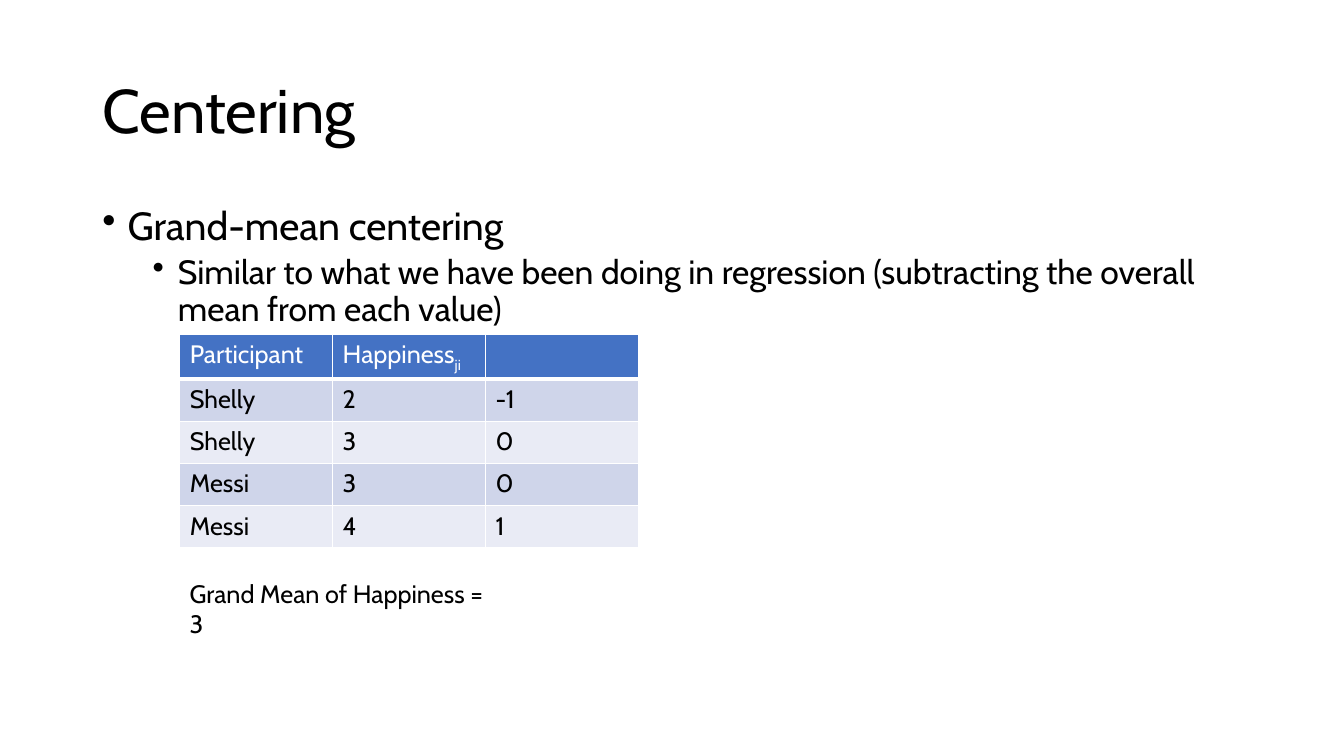
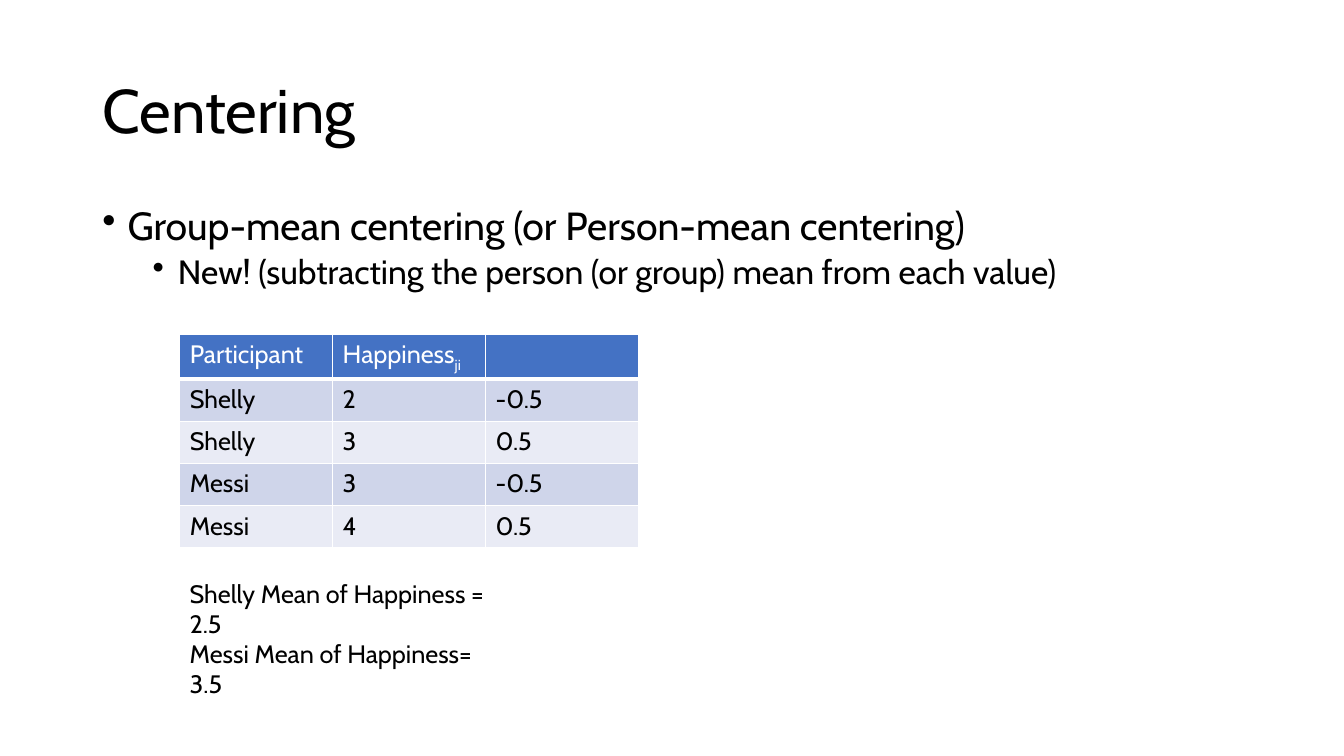
from dataclasses import dataclass
from typing import Any

from lxml import etree
from pptx import Presentation
from pptx import util as u
from pptx.dml.color import RGBColor
from pptx.enum import text
from pptx.oxml.ns import qn

# Shared look: the slide is a grid of 160 columns by 90 rows
COLUMNS, ROWS = 160, 90
WIDTH, HEIGHT = u.Inches(13.33), u.Inches(7.5)
FONT = "Cabin"
BLACK, WHITE = "000000", "FFFFFF"
HEADER_FILL, BAND_FILLS = "4472C4", ("CFD5EA", "E9EBF5")
TITLE = "Centering"
SUBSCRIPT = "ji"
TABLE_COLUMN, TABLE_ROW = 18.2, 5.04


@dataclass(frozen=True)
class Area:
    column: float
    row: float
    columns: float
    rows: float

    def lengths(self) -> dict[str, int]:
        return {
            "left": round(WIDTH * self.column / COLUMNS),
            "top": round(HEIGHT * self.row / ROWS),
            "width": round(WIDTH * self.columns / COLUMNS),
            "height": round(HEIGHT * self.rows / ROWS),
        }


@dataclass(frozen=True)
class Bullet:
    size: int
    margin: float
    before: int


@dataclass(frozen=True)
class Example:
    method: str
    explanation: str
    centered: tuple[str, ...]
    means: tuple[str, ...]


TITLE_AREA = Area(11, 4.8, 138, 17.4)
POINTS_AREA = Area(11, 24, 138, 57.1)
TABLE_AREA = Area(21.4, 39.8, 3 * TABLE_COLUMN, 5 * TABLE_ROW)
MEANS_AREA = Area(21.4, 68.2, 38.9, 4.8)
LEVELS = (Bullet(28, 0.25, 0), Bullet(24, 0.75, 5))
RATINGS = (("Shelly", "2"), ("Shelly", "3"), ("Messi", "3"), ("Messi", "4"))

EXAMPLES = (
    Example(
        "Grand-mean centering",
        "Similar to what we have been doing in regression "
        "(subtracting the overall mean from each value)",
        ("-1", "0", "0", "1"),
        ("Grand Mean of Happiness = 3",),
    ),
    Example(
        "Group-mean centering (or Person-mean centering)",
        "New! (subtracting the person (or group) mean from each value)",
        ("-0.5", "0.5", "-0.5", "0.5"),
        ("Shelly Mean of Happiness = 2.5", "Messi Mean of Happiness= 3.5"),
    ),
)


def color(value: str) -> RGBColor:
    return RGBColor.from_string(value)


def apply(target: Any, values: dict[str, Any]) -> None:
    for name, value in values.items():
        setattr(target, name, value)


def write(paragraph: Any, words: str, size: int, ink: str = BLACK) -> Any:
    """Add one run in the shared font."""
    run = paragraph.add_run()
    run.text = words
    apply(run.font, {"name": FONT, "size": u.Pt(size), "bold": False})
    run.font.color.rgb = color(ink)
    return run


def add_title(slide: Any) -> None:
    title = slide.shapes.title
    apply(title, TITLE_AREA.lengths())
    apply(title.text_frame, {
        "word_wrap": True,
        "auto_size": text.MSO_AUTO_SIZE.NONE,
        "vertical_anchor": text.MSO_ANCHOR.MIDDLE,
    })
    heading = title.text_frame.paragraphs[0]
    apply(heading, {"alignment": text.PP_ALIGN.LEFT, "line_spacing": 0.9})
    write(heading, TITLE, 44)


def add_lines(slide: Any, area: Area, lines: tuple[str, ...],
              levels: tuple[Bullet, ...] = ()) -> None:
    """Add a text box, with one bullet level per line if levels are given."""
    frame = slide.shapes.add_textbox(**area.lengths()).text_frame
    frame.word_wrap = True
    for index, line in enumerate(lines):
        paragraph = frame.paragraphs[0] if index == 0 else frame.add_paragraph()
        size = 18
        if levels:
            level = levels[index]
            size = level.size
            properties = paragraph._p.get_or_add_pPr()
            properties.set("marL", str(u.Inches(level.margin)))
            properties.set("indent", str(u.Inches(-0.25)))
            etree.SubElement(properties, qn("a:buChar"), char="•")
            apply(paragraph, {"level": index, "line_spacing": 0.9,
                              "space_before": u.Pt(level.before)})
        write(paragraph, line, size)


def format_cell(cell: Any, fill: str, borders: dict[str, int]) -> None:
    properties = cell._tc.get_or_add_tcPr()
    for side, points in borders.items():
        line = etree.SubElement(properties, qn(f"a:ln{side}"), w=str(u.Pt(points)))
        solid = etree.SubElement(line, qn("a:solidFill"))
        etree.SubElement(solid, qn("a:srgbClr"), val=WHITE)
    cell.fill.solid()
    cell.fill.fore_color.rgb = color(fill)


def add_ratings(slide: Any, centered: tuple[str, ...]) -> None:
    records = [("Participant", "Happiness", "")]
    records += [(*rating, value) for rating, value in zip(RATINGS, centered)]
    table = slide.shapes.add_table(len(records), 3, **TABLE_AREA.lengths()).table
    for row, record in enumerate(records):
        is_header = row == 0
        fill = HEADER_FILL if is_header else BAND_FILLS[(row - 1) % 2]
        # A thick rule divides the header from the ratings
        borders = {"L": 1, "R": 1, "T": 3 if row == 1 else 1, "B": 3 if is_header else 1}
        for column, words in enumerate(record):
            cell = table.cell(row, column)
            format_cell(cell, fill, borders)
            if words:
                write(cell.text_frame.paragraphs[0], words, 18,
                      WHITE if is_header else BLACK)
    index = write(table.cell(0, 1).text_frame.paragraphs[0], SUBSCRIPT, 18, WHITE)
    index._r.get_or_add_rPr().set("baseline", "-25000")


def main() -> None:
    deck = Presentation()
    apply(deck, {"slide_width": WIDTH, "slide_height": HEIGHT})
    title_only = deck.slide_layouts[5]
    for example in EXAMPLES:
        slide = deck.slides.add_slide(title_only)
        add_title(slide)
        add_lines(slide, POINTS_AREA, (example.method, example.explanation), LEVELS)
        add_ratings(slide, example.centered)
        add_lines(slide, MEANS_AREA, example.means)
    deck.save("out.pptx")


if __name__ == "__main__":
    main()
